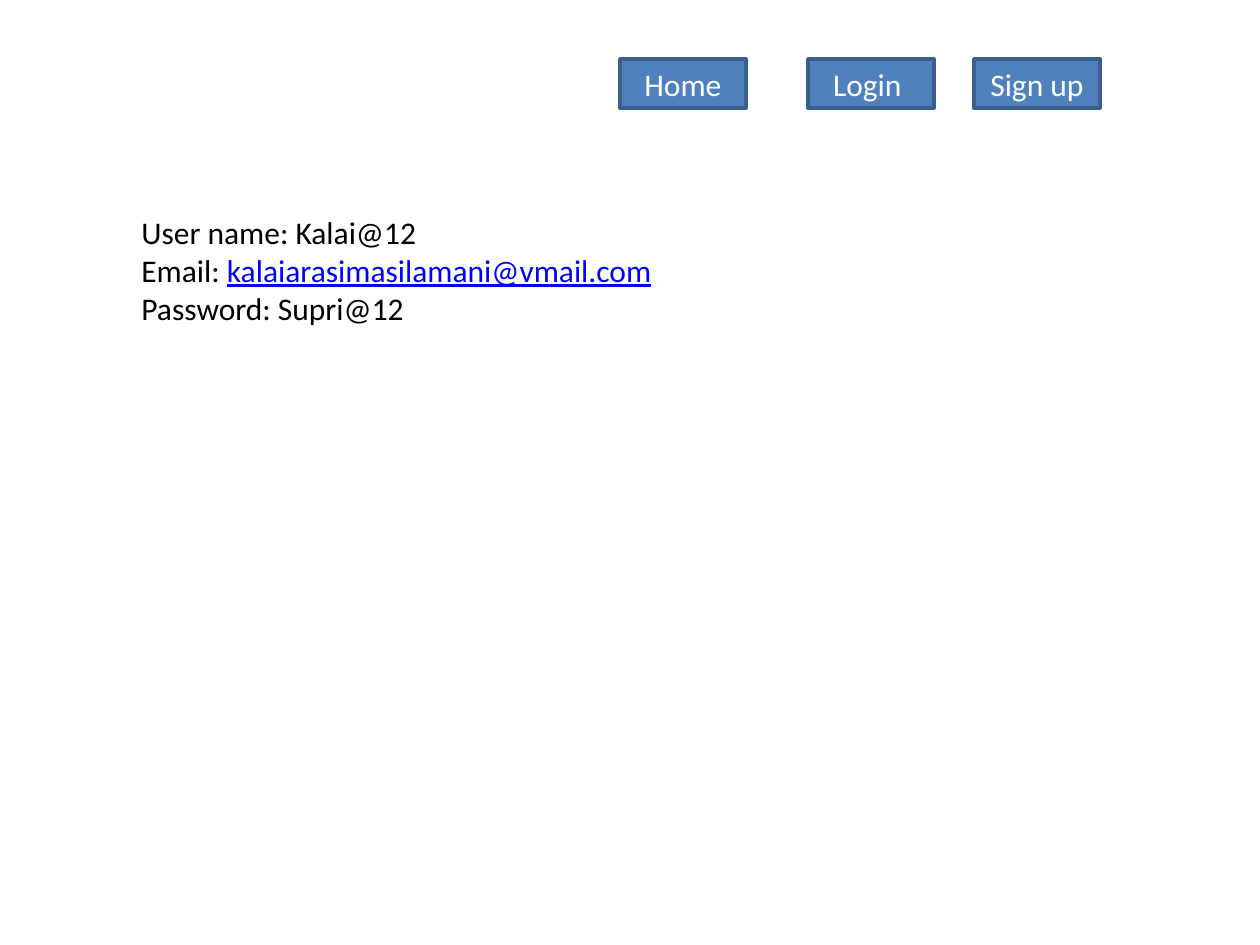
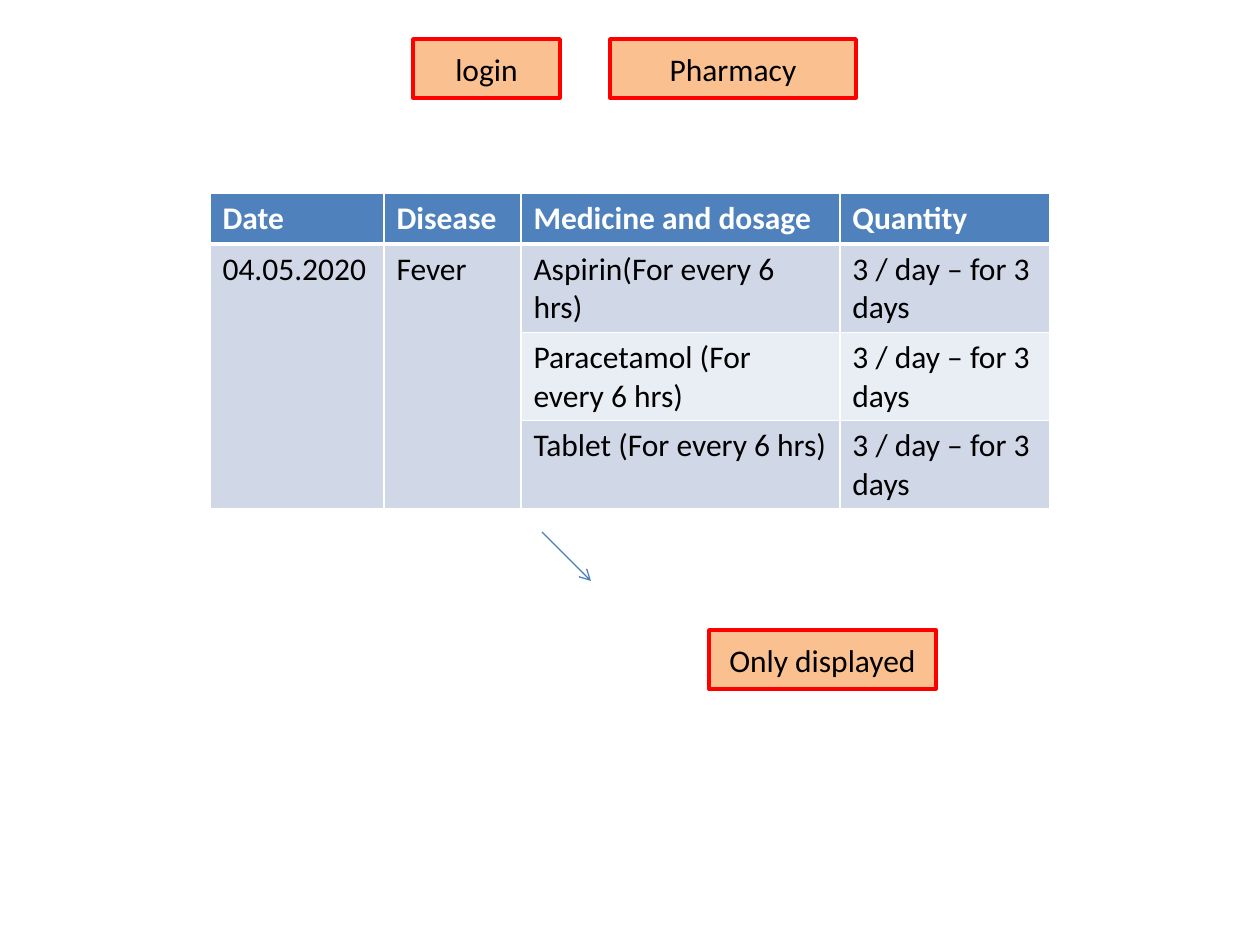
from dataclasses import dataclass

from lxml.etree import SubElement
from pptx import Presentation
from pptx.dml.color import RGBColor
from pptx.enum.shapes import MSO_CONNECTOR, MSO_SHAPE
from pptx.enum.text import MSO_ANCHOR, PP_ALIGN
from pptx.oxml.ns import qn
from pptx.util import Emu, Pt

BLUE = RGBColor(0x4F, 0x81, 0xBD)
NAVY = RGBColor(0x3A, 0x5F, 0x8C)
STEEL = RGBColor(0x4B, 0x7E, 0xBC)
PEACH = RGBColor(0xFA, 0xC0, 0x90)
RED = RGBColor(0xFF, 0x00, 0x00)
LINK = RGBColor(0x00, 0x00, 0xFF)
BAND = RGBColor(0xD0, 0xD8, 0xE8)
PALE = RGBColor(0xE9, 0xED, 0xF4)
WHITE = RGBColor(0xFF, 0xFF, 0xFF)
BLACK = RGBColor(0x00, 0x00, 0x00)

FONT = "Calibri"
SIZE = Pt(18)
SCALE = 914400 / 126


@dataclass(frozen=True)
class Look:
    """Colours of a kind of button."""
    fill: RGBColor
    line: RGBColor
    text: RGBColor


@dataclass(frozen=True)
class Button:
    """A labelled box, measured in pixels."""
    text: str
    left: int
    top: int
    width: int
    height: int
    look: Look


NAV = Look(BLUE, NAVY, WHITE)
NOTE = Look(PEACH, RED, BLACK)

MENU = [Button(text, left, 59, 126, 49, NAV)
        for text, left in (("Login ", 808), ("Sign up", 974), ("Home", 620))]
LABELS = [Button(text, left, top, width, 59, NOTE)
          for text, left, top, width in (("login", 413, 39, 147),
                                         ("Pharmacy", 610, 39, 246),
                                         ("Only displayed", 709, 630, 227))]

HEADS = ("Date", "Disease", "Medicine and dosage", "Quantity")
DOSES = ("Aspirin(For every 6 hrs)", "Paracetamol (For every 6 hrs)",
         "Tablet (For every 6 hrs)")
AMOUNT = "3 / day – for 3 days"
COLS = (174, 137, 319, 210)
ROWS = (51, 88, 88, 88)


def px(count: float) -> Emu:
    """Turn pixels into EMU."""
    return Emu(round(count * SCALE))


def style(para, color: RGBColor, bold: bool = False) -> None:
    """Set the font of a paragraph."""
    font = para.font
    font.name, font.size, font.bold = FONT, SIZE, bold
    font.color.rgb = color


def add_button(slide, item: Button) -> None:
    """Draw one button with a centred label."""
    box = slide.shapes.add_shape(MSO_SHAPE.RECTANGLE, px(item.left), px(item.top),
                                 px(item.width), px(item.height))
    box.shadow.inherit = False
    box.fill.solid()
    box.fill.fore_color.rgb = item.look.fill
    box.line.color.rgb = item.look.line
    box.line.width = Pt(2)
    frame = box.text_frame
    frame.vertical_anchor = MSO_ANCHOR.MIDDLE
    para = frame.paragraphs[0]
    para.text = item.text
    para.alignment = PP_ALIGN.CENTER
    style(para, item.look.text)


def add_user(slide) -> None:
    """Write the account details."""
    frame = slide.shapes.add_textbox(px(129), px(207), px(699), px(165)).text_frame
    frame.word_wrap = True
    frame.text = "User name: Kalai@12\nEmail: \nPassword: Supri@12"
    for para in frame.paragraphs:
        style(para, BLACK)
    mail = frame.paragraphs[1].add_run()
    mail.text = "kalaiarasimasilamani@vmail.com"
    mail.font.color.rgb = LINK
    mail.font.underline = True


def add_edges(cell, row: int) -> None:
    """Give a cell white borders, thick below the header."""
    props = cell._tc.get_or_add_tcPr()
    top, base = (3 if row == 1 else 1), (3 if row == 0 else 1)
    for side, width in (("L", 1), ("R", 1), ("T", top), ("B", base)):
        edge = SubElement(props, qn(f"a:ln{side}"), w=str(Pt(width)))
        fill = SubElement(edge, qn("a:solidFill"))
        SubElement(fill, qn("a:srgbClr"), val=str(WHITE))


def add_doses(slide) -> None:
    """Draw the table of medicines."""
    table = slide.shapes.add_table(len(ROWS), len(COLS), px(210), px(193),
                                   px(sum(COLS)), px(sum(ROWS))).table
    for col, width in zip(table.columns, COLS):
        col.width = px(width)
    for row, height in zip(table.rows, ROWS):
        row.height = px(height)
    lead = ("04.05.2020", "Fever")
    texts = [HEADS] + [((lead if i == 0 else ("", "")) + (dose, AMOUNT))
                       for i, dose in enumerate(DOSES)]
    for r, line in enumerate(texts):
        for c, text in enumerate(line):
            cell = table.cell(r, c)
            add_edges(cell, r)
            cell.fill.solid()
            pale = r == 2 and c >= len(lead)
            cell.fill.fore_color.rgb = BLUE if r == 0 else PALE if pale else BAND
            para = cell.text_frame.paragraphs[0]
            para.text = text
            style(para, WHITE if r == 0 else BLACK, bold=r == 0)
    for c in range(len(lead)):
        table.cell(1, c).merge(table.cell(len(DOSES), c))


def add_arrow(slide) -> None:
    """Draw the arrow below the table."""
    arrow = slide.shapes.add_connector(MSO_CONNECTOR.STRAIGHT,
                                       px(542), px(532), px(591), px(581))
    arrow.line.color.rgb = STEEL
    arrow.line.width = Pt(0.75)
    SubElement(arrow.line._get_or_add_ln(), qn("a:tailEnd"), type="arrow")
    SubElement(arrow._element.spPr, qn("a:effectLst"))


def main() -> None:
    """Build both slides and save them."""
    deck = Presentation()
    deck.slide_width, deck.slide_height = px(1260), px(945)
    blank = deck.slide_layouts[6]

    account = deck.slides.add_slide(blank)
    for item in MENU:
        add_button(account, item)
    add_user(account)

    pharmacy = deck.slides.add_slide(blank)
    for item in LABELS:
        add_button(pharmacy, item)
    add_doses(pharmacy)
    add_arrow(pharmacy)

    deck.save("out.pptx")


main()
